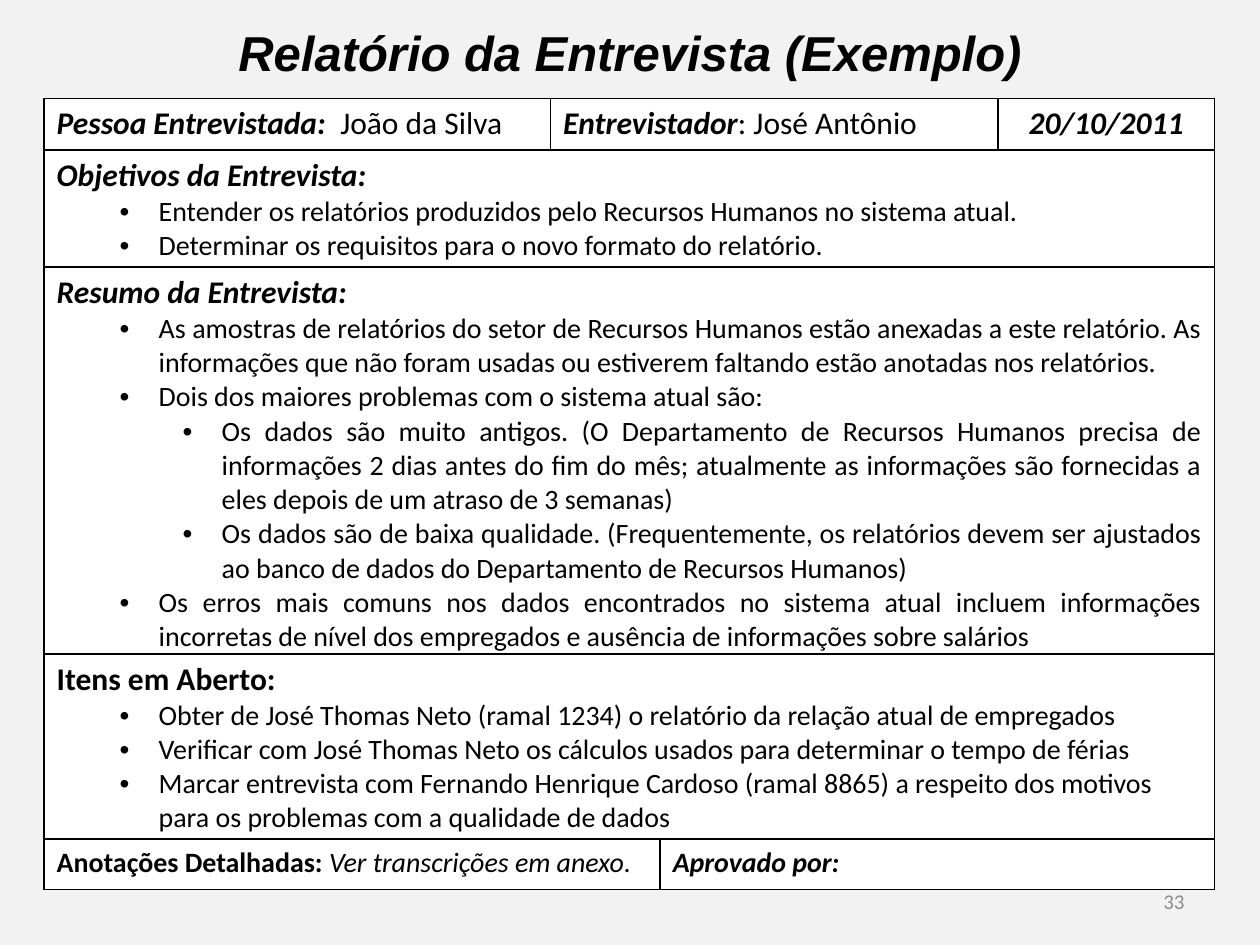
from pptx import Presentation
from pptx.dml.color import RGBColor
from pptx.enum.text import MSO_ANCHOR, PP_ALIGN
from pptx.oxml.ns import qn
from pptx.util import Inches, Pt
from lxml.etree import SubElement

COLUMN_WIDTHS = [4.02, 0.87, 2.68, 1.72]
ROW_HEIGHTS = [0.41, 0.93, 3.07, 1.47, 0.4]
LEFT, CENTER, RIGHT, JUSTIFY = (
    PP_ALIGN.LEFT, PP_ALIGN.CENTER, PP_ALIGN.RIGHT, PP_ALIGN.JUSTIFY)

OBJECTIVES = [
    (1, "Entender os relatórios produzidos pelo Recursos Humanos no sistema atual."),
    (1, "Determinar os requisitos para o novo formato do relatório."),
]
SUMMARY = [
    (1, "As amostras de relatórios do setor de Recursos Humanos estão anexadas a este "
        "relatório. As informações que não foram usadas ou estiverem faltando estão "
        "anotadas nos relatórios."),
    (1, "Dois dos maiores problemas com o sistema atual são:"),
    (2, "Os dados são muito antigos. (O Departamento de Recursos Humanos precisa de "
        "informações 2 dias antes do fim do mês; atualmente as informações são "
        "fornecidas a eles depois de um atraso de 3 semanas)"),
    (2, "Os dados são de baixa qualidade. (Frequentemente, os relatórios devem ser "
        "ajustados ao banco de dados do Departamento de Recursos Humanos)"),
    (1, "Os erros mais comuns nos dados encontrados no sistema atual incluem informações "
        "incorretas de nível dos empregados e ausência de informações sobre salários"),
]
OPEN_ITEMS = [
    (1, "Obter de José Thomas Neto (ramal 1234) o relatório da relação atual de empregados"),
    (1, "Verificar com José Thomas Neto os cálculos usados para determinar o tempo de férias"),
    (1, "Marcar entrevista com Fernando Henrique Cardoso (ramal 8865) a respeito dos "
        "motivos para os problemas com a qualidade de dados"),
]


def paint(fill, color):
    fill.solid()
    fill.fore_color.rgb = RGBColor.from_string(color)


def write(paragraph, pieces, size, align=LEFT, font="Calibri", color="000000"):
    paragraph.alignment = align
    for text, style in pieces:
        run = paragraph.add_run()
        run.text = text
        run.font.name = font
        run.font.size = Pt(size)
        run.font.bold = "b" in style
        run.font.italic = "i" in style
        paint(run.font.fill, color)


def add_bullet(frame, level, text, align):
    paragraph = frame.add_paragraph()
    paragraph.level = level
    write(paragraph, [(text, "")], 16, align)
    properties = paragraph._p.get_or_add_pPr()
    properties.set("marL", str(Inches(0.31 + 0.5 * level)))
    properties.set("indent", str(Inches(-0.31)))
    SubElement(properties, qn("a:buFont")).set("typeface", "Arial")
    SubElement(properties, qn("a:buChar")).set("char", "•")


def add_borders(cell):
    properties = cell._tc.get_or_add_tcPr()
    for position, side in enumerate(["a:lnL", "a:lnR", "a:lnT", "a:lnB"]):
        line = SubElement(properties, qn(side), w=str(Pt(1)))
        color = SubElement(SubElement(line, qn("a:solidFill")), qn("a:srgbClr"))
        color.set("val", "000000")
        properties.insert(position, line)


def add_line(slide, box, text, style, size, align, font, color):
    textbox = slide.shapes.add_textbox(*map(Inches, box))
    frame = textbox.text_frame
    frame.word_wrap = True
    frame.vertical_anchor = MSO_ANCHOR.MIDDLE
    write(frame.paragraphs[0], [(text, style)], size, align, font, color)


def add_report(slide, left, top):
    report = slide.shapes.add_table(
        len(ROW_HEIGHTS), len(COLUMN_WIDTHS), Inches(left), Inches(top),
        Inches(sum(COLUMN_WIDTHS)), Inches(sum(ROW_HEIGHTS))).table
    report.first_row = False
    report.horz_banding = False
    for column, width in zip(report.columns, COLUMN_WIDTHS):
        column.width = Inches(width)
    for row, height in zip(report.rows, ROW_HEIGHTS):
        row.height = Inches(height)
    for cell in report.iter_cells():
        paint(cell.fill, "FFFFFF")
        add_borders(cell)
        cell.margin_bottom = 0

    def entry(row, first, last, pieces, size=18, align=LEFT, bullets=(), bullet_align=LEFT):
        cell = report.cell(row, first)
        if last > first:
            cell.merge(report.cell(row, last))
        write(cell.text_frame.paragraphs[0], pieces, size, align)
        for level, text in bullets:
            add_bullet(cell.text_frame, level, text, bullet_align)

    entry(0, 0, 0, [("Pessoa Entrevistada:", "bi"), ("  João da Silva", "")])
    entry(0, 1, 2, [("Entrevistador", "bi"), (": José Antônio", "")])
    entry(0, 3, 3, [("20/10/2011", "bi")], align=CENTER)
    entry(1, 0, 3, [("Objetivos da Entrevista: ", "bi")], bullets=OBJECTIVES)
    entry(2, 0, 3, [("Resumo da Entrevista:", "bi")], bullets=SUMMARY, bullet_align=JUSTIFY)
    entry(3, 0, 3, [("Itens em Aberto:", "b")], bullets=OPEN_ITEMS)
    entry(4, 0, 1, [("Anotações Detalhadas: ", "b"), ("Ver transcrições em anexo.", "i")], 16)
    entry(4, 2, 3, [("Aprovado por: ", "bi")], 16)


def build():
    deck = Presentation()
    deck.slide_width, deck.slide_height = Inches(10), Inches(7.5)
    slide = deck.slides.add_slide(deck.slide_layouts[6])
    paint(slide.background.fill, "F2F2F2")
    add_line(slide, (7.17, 6.95, 2.33, 0.4), "33", "", 12, RIGHT, "Calibri", "8C8C8C")
    add_line(slide, (0, 0.13, 10, 0.57), "Relatório da Entrevista (Exemplo)", "bi",
             28, CENTER, "Arial", "000000")
    add_report(slide, 0.35, 0.78)
    deck.save("out.pptx")


build()
